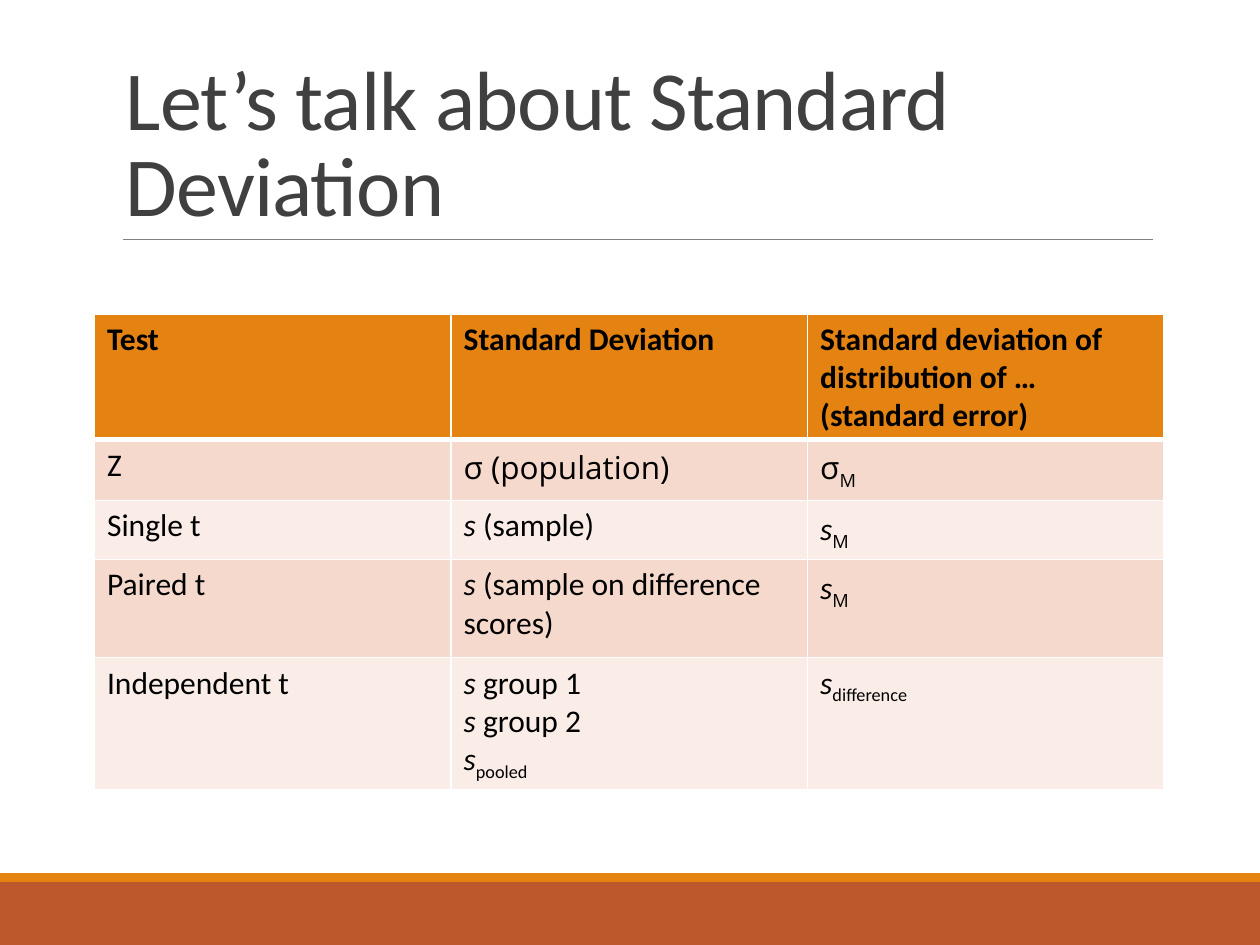
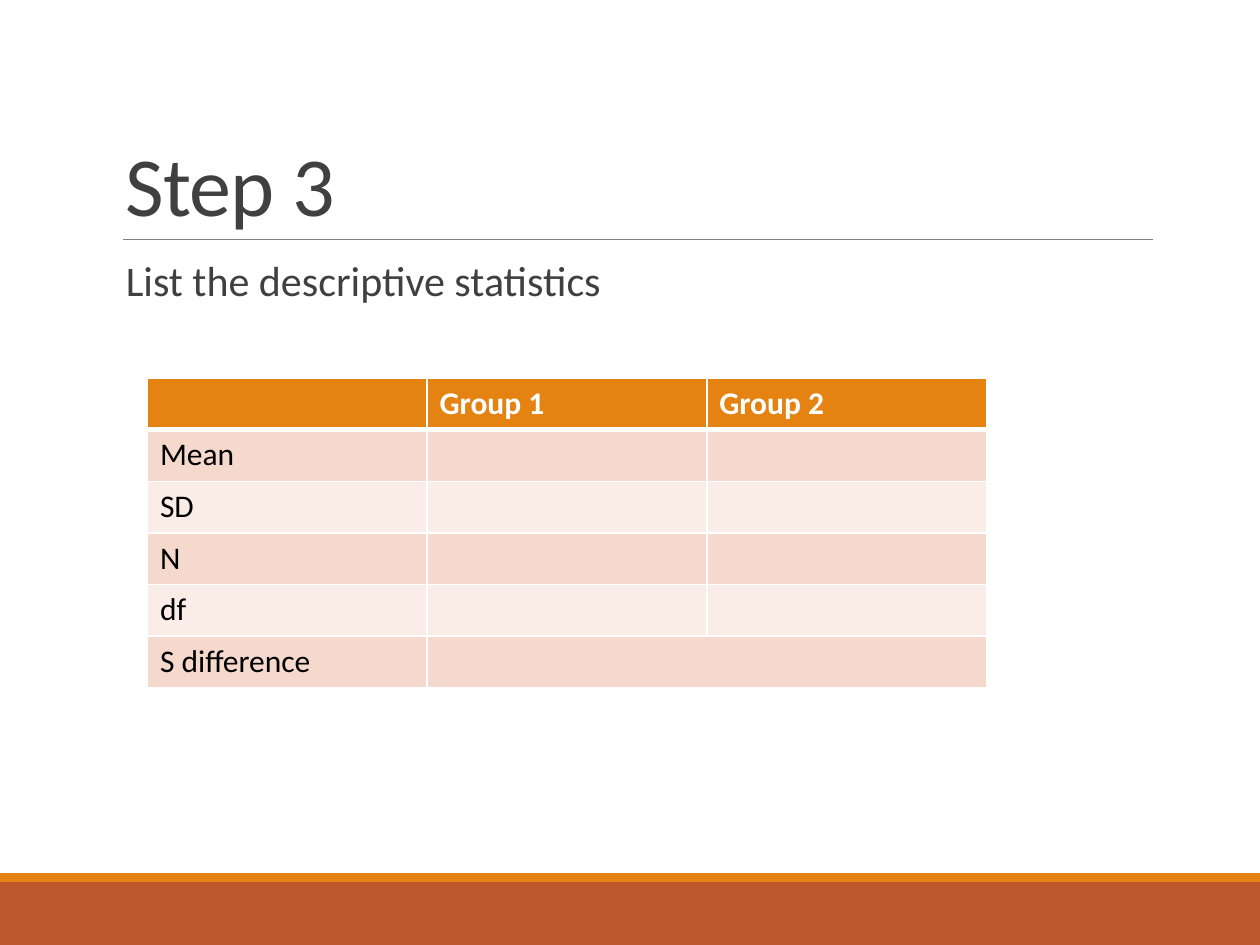
from dataclasses import dataclass

from lxml import etree
from pptx import Presentation
from pptx.dml.color import RGBColor
from pptx.enum.shapes import MSO_CONNECTOR, MSO_SHAPE
from pptx.enum.text import MSO_ANCHOR
from pptx.oxml.ns import qn
from pptx.util import Inches, Pt

STRAIGHT = MSO_CONNECTOR.STRAIGHT
RECTANGLE = MSO_SHAPE.RECTANGLE
BOTTOM = MSO_ANCHOR.BOTTOM


@dataclass(frozen=True)
class Theme:
    font: str = "Calibri"
    symbol_font: str = "Open Sans"
    orange: str = "E48312"
    rust: str = "BD582C"
    rule: str = "808080"
    heading: str = "404040"
    black: str = "000000"
    white: str = "FFFFFF"
    bands: tuple = ("F5D9CC", "FAEDE7")
    title_size: int = 48
    body_size: int = 24
    table_size: int = 18


THEME = Theme()


def write(frame, paragraphs, size, color, bold=False):
    """Write paragraphs of (text, marks) runs; marks: i italic, _ subscript, o symbol font."""
    for index, runs in enumerate(paragraphs):
        paragraph = frame.add_paragraph() if index else frame.paragraphs[0]
        for text, marks in runs:
            run = paragraph.add_run()
            run.text = text
            font = run.font
            font.name = THEME.symbol_font if "o" in marks else THEME.font
            font.size = Pt(size)
            font.bold = bold
            font.italic = "i" in marks
            font.color.rgb = RGBColor.from_string(color)
            if "_" in marks:
                font._element.set("baseline", "-25000")


def add_banded_table(slide, left, top, column_width, row_heights, rows, header_color):
    """Add a table with an orange header, alternating row fills and white borders."""
    columns = len(rows[0])
    table = slide.shapes.add_table(
        len(rows), columns, Inches(left), Inches(top),
        Inches(column_width * columns), Inches(sum(row_heights))).table
    for column in table.columns:
        column.width = Inches(column_width)
    for r, (height, contents) in enumerate(zip(row_heights, rows)):
        table.rows[r].height = Inches(height)
        is_header = r == 0
        for c, content in enumerate(contents):
            cell = table.cell(r, c)
            properties = cell._tc.get_or_add_tcPr()
            widths = {"lnL": 1, "lnR": 1, "lnT": 3 if r == 1 else 1, "lnB": 3 if is_header else 1}
            for side, width in widths.items():
                border = etree.SubElement(properties, qn(f"a:{side}"), w=str(Pt(width)))
                fill = etree.SubElement(border, qn("a:solidFill"))
                etree.SubElement(fill, qn("a:srgbClr"), val=THEME.white)
            cell.fill.solid()
            cell.fill.fore_color.rgb = RGBColor.from_string(
                THEME.orange if is_header else THEME.bands[(r - 1) % 2])
            paragraphs = [[(content, "")]] if isinstance(content, str) else content
            if content:
                write(cell.text_frame, paragraphs, THEME.table_size,
                      header_color if is_header else THEME.black, is_header)
    return table


prs = Presentation()
prs.slide_width, prs.slide_height = Inches(10), Inches(7.5)

# Shared frame: footer bands, title and rule
slides = []
for title in ("Let’s talk about Standard Deviation", "Step 3"):
    slide = prs.slides.add_slide(prs.slide_layouts[6])
    slides.append(slide)
    for top, height, color in ((7, 0.5, THEME.rust), (6.93, 0.07, THEME.orange)):
        band = slide.shapes.add_shape(RECTANGLE, 0, Inches(top), prs.slide_width, Inches(height))
        band.shadow.inherit = False
        band.fill.solid()
        band.fill.fore_color.rgb = RGBColor.from_string(color)
        band.line.fill.background()

    title_rule = slide.shapes.add_connector(
        STRAIGHT, Inches(0.98), Inches(1.9), Inches(9.15), Inches(1.9))
    title_rule.line.color.rgb = RGBColor.from_string(THEME.rule)
    title_rule.line.width = Pt(0.5)
    etree.SubElement(title_rule._element.spPr, qn("a:effectLst"))

    heading = slide.shapes.add_textbox(
        Inches(0.9), Inches(0.31), Inches(8.25), Inches(1.59)).text_frame
    heading.word_wrap = True
    heading.vertical_anchor = BOTTOM
    write(heading, [[(title, "")]], THEME.title_size, THEME.heading)
    heading.paragraphs[0].line_spacing = 0.85
    heading.paragraphs[0].runs[0].font._element.set("spc", "-50")

deviation_slide, step_slide = slides

# Slide 1: standard deviation by test
sample_error = [[("s", "i"), ("M", "o_")]]
deviation_rows = [
    ["Test", "Standard Deviation",
     [[("Standard deviation of distribution of …", "")], [("(standard error)", "")]]],
    ["Z", [[("σ (population)", "o")]], [[("σ", "o"), ("M", "o_")]]],
    ["Single t", [[("s", "i"), (" (sample)", "")]], sample_error],
    ["Paired t", [[("s", "i"), (" (sample on difference scores)", "")]], sample_error],
    ["Independent t",
     [[("s ", "i"), ("group 1", "")],
      [("s", "i"), (" group 2", "")],
      [("s", "i"), ("pooled", "_")]],
     [[("s", "i"), ("difference", "_")]]],
]
add_banded_table(deviation_slide, 0.75, 2.49, 2.83, [1, 0.48, 0.47, 0.78, 1.05],
                 deviation_rows, THEME.black)

# Slide 2: descriptive statistics to fill in
instruction = step_slide.shapes.add_textbox(
    Inches(0.9), Inches(2.02), Inches(8.25), Inches(4.4)).text_frame
instruction.word_wrap = True
write(instruction, [[("List the descriptive statistics", "")]], THEME.body_size, THEME.heading)
instruction.paragraphs[0].line_spacing = 0.9

statistics_rows = [["", "Group 1", "Group 2"]]
statistics_rows += [[name, "", ""] for name in ("Mean", "SD", "N", "df", "S difference")]
statistics = add_banded_table(step_slide, 1.17, 3, 2.22, [0.41] * len(statistics_rows),
                              statistics_rows, THEME.white)
statistics.cell(5, 1).merge(statistics.cell(5, 2))

prs.save("out.pptx")
